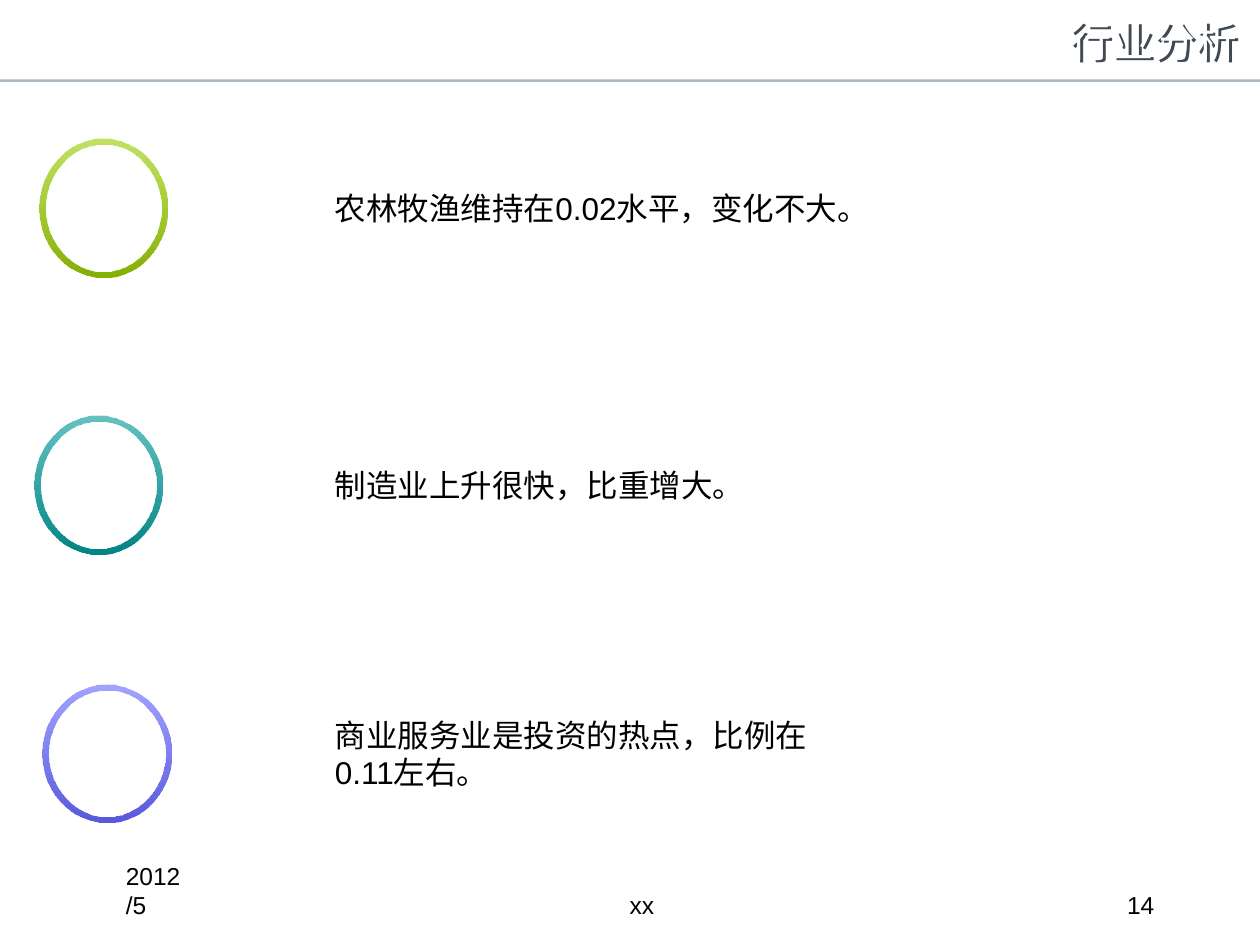
from dataclasses import dataclass

from lxml.etree import SubElement
from pptx import Presentation
from pptx.dml.color import RGBColor
from pptx.enum.shapes import MSO_SHAPE
from pptx.enum.text import MSO_ANCHOR, PP_ALIGN
from pptx.oxml.ns import qn
from pptx.util import Inches, Pt

WHITE = RGBColor(0xFF, 0xFF, 0xFF)
BLACK = RGBColor(0x00, 0x00, 0x00)
GRAY = RGBColor(0xAB, 0xB7, 0xC1)
SLATE = RGBColor(0x40, 0x4A, 0x54)
LIME = RGBColor(0x99, 0xCC, 0x00)
OLIVE = RGBColor(0x84, 0xB0, 0x00)
TEAL = RGBColor(0x00, 0x99, 0x99)
PINE = RGBColor(0x00, 0x84, 0x84)
BLUE = RGBColor(0x66, 0x66, 0xFF)
NAVY = RGBColor(0x58, 0x58, 0xDC)

RING_W, RING_H = 1.02, 1.1
DISK_W, DISK_H = 0.9, 0.97
HEAD_X, HEAD_Y, HEAD_W, HEAD_H = 3.24, 0.07, 6.68, 0.69
SHADE = 0.02
NOTE_X = 2.56
FOOT_Y, FOOT_H = 7.06, 0.29
HEAD = {"size": Pt(24), "name": "Arial", "bold": False}
BODY = {"size": Pt(18), "name": "Arial"}
FOOT = {"size": Pt(14), "name": "Arial"}
INSET = {
    "margin_left": Inches(0.1),
    "margin_right": Inches(0.1),
    "margin_top": Inches(0.05),
    "margin_bottom": Inches(0.05),
    "word_wrap": True,
}


@dataclass
class Point:
    left: float
    top: float
    light: RGBColor
    dark: RGBColor
    text: str
    width: float
    height: float


@dataclass
class Footer:
    text: str
    left: float
    width: float
    align: PP_ALIGN


POINTS = [
    Point(0.31, 1.1, LIME, OLIVE, "农林牧渔维持在0.02水平，变化不大。", 5.59, 0.4),
    Point(0.27, 3.3, TEAL, PINE, "制造业上升很快，比重增大。", 4.8, 0.4),
    Point(0.34, 5.43, BLUE, NAVY, "商业服务业是投资的热点，比例在0.11左右。", 4.33, 0.7),
]
FOOTERS = [
    Footer("2012/5", 0.9, 0.64, PP_ALIGN.LEFT),
    Footer("xx", 1.67, 6.85, PP_ALIGN.CENTER),
    Footer("14", 8.62, 0.64, PP_ALIGN.RIGHT),
]


def apply(item, values: dict) -> None:
    for name, value in values.items():
        setattr(item, name, value)


def box(left: float, top: float, width: float, height: float) -> tuple:
    return tuple(Inches(n) for n in (left, top, width, height))


def write(shape, text: str, look: dict, color: RGBColor,
          align: PP_ALIGN = PP_ALIGN.LEFT,
          anchor: MSO_ANCHOR = MSO_ANCHOR.TOP) -> None:
    frame = shape.text_frame
    apply(frame, {**INSET, "vertical_anchor": anchor})
    para = frame.paragraphs[0]
    para.alignment = align
    run = para.add_run()
    run.text = text
    apply(run.font, look)
    run.font.color.rgb = color


def plain(shapes, kind: MSO_SHAPE, place: tuple, color: RGBColor) -> None:
    shape = shapes.add_shape(kind, *place)
    shape.shadow.inherit = False
    shape.fill.solid()
    shape.fill.fore_color.rgb = color
    shape.line.fill.background()


def draw_ring(slide, point: Point) -> None:
    group = slide.shapes.add_group_shape()
    ring = group.shapes.add_shape(
        MSO_SHAPE.DONUT, *box(point.left, point.top, RING_W, RING_H))
    ring.adjustments[0] = 0.05
    ring.shadow.inherit = False
    ring.line.fill.background()
    ring.fill.gradient()
    ring.fill.gradient_angle = 270
    for stop, color in zip(ring.fill.gradient_stops, (point.light, point.dark)):
        stop.color.rgb = color
    first = next(ring.fill._xPr.iter(qn("a:srgbClr")))
    SubElement(first, qn("a:alpha"), val="60000")
    disk = box(point.left + (RING_W - DISK_W) / 2,
               point.top + (RING_H - DISK_H) / 2, DISK_W, DISK_H)
    plain(group.shapes, MSO_SHAPE.OVAL, disk, WHITE)


def draw_note(slide, point: Point) -> None:
    top = point.top + (RING_H - point.height) / 2
    note = slide.shapes.add_textbox(
        *box(NOTE_X, top, point.width, point.height))
    write(note, point.text, BODY, BLACK)


def draw_foot(slide, foot: Footer) -> None:
    shape = slide.shapes.add_textbox(
        *box(foot.left, FOOT_Y, foot.width, FOOT_H))
    write(shape, foot.text, FOOT, BLACK, foot.align, MSO_ANCHOR.BOTTOM)


def draw_title(slide, text: str) -> None:
    title = slide.shapes.title
    place = box(HEAD_X, HEAD_Y, HEAD_W, HEAD_H)
    apply(title, dict(zip(("left", "top", "width", "height"), place)))
    shade = slide.shapes.add_textbox(
        *box(HEAD_X + SHADE, HEAD_Y + SHADE, HEAD_W, HEAD_H))
    title._element.addprevious(shade._element)
    for shape, color in ((shade, SLATE), (title, WHITE)):
        write(shape, text, HEAD, color, PP_ALIGN.RIGHT)


def main() -> None:
    deck = Presentation()
    apply(deck, {"slide_width": Inches(10), "slide_height": Inches(7.5)})
    slide = deck.slides.add_slide(deck.slide_layouts[5])
    plain(slide.shapes, MSO_SHAPE.RECTANGLE, box(0, 0.63, 10, 0.02), GRAY)
    draw_title(slide, "行业分析")
    for point in POINTS:
        draw_ring(slide, point)
        draw_note(slide, point)
    for foot in FOOTERS:
        draw_foot(slide, foot)
    deck.save("out.pptx")


if __name__ == "__main__":
    main()
